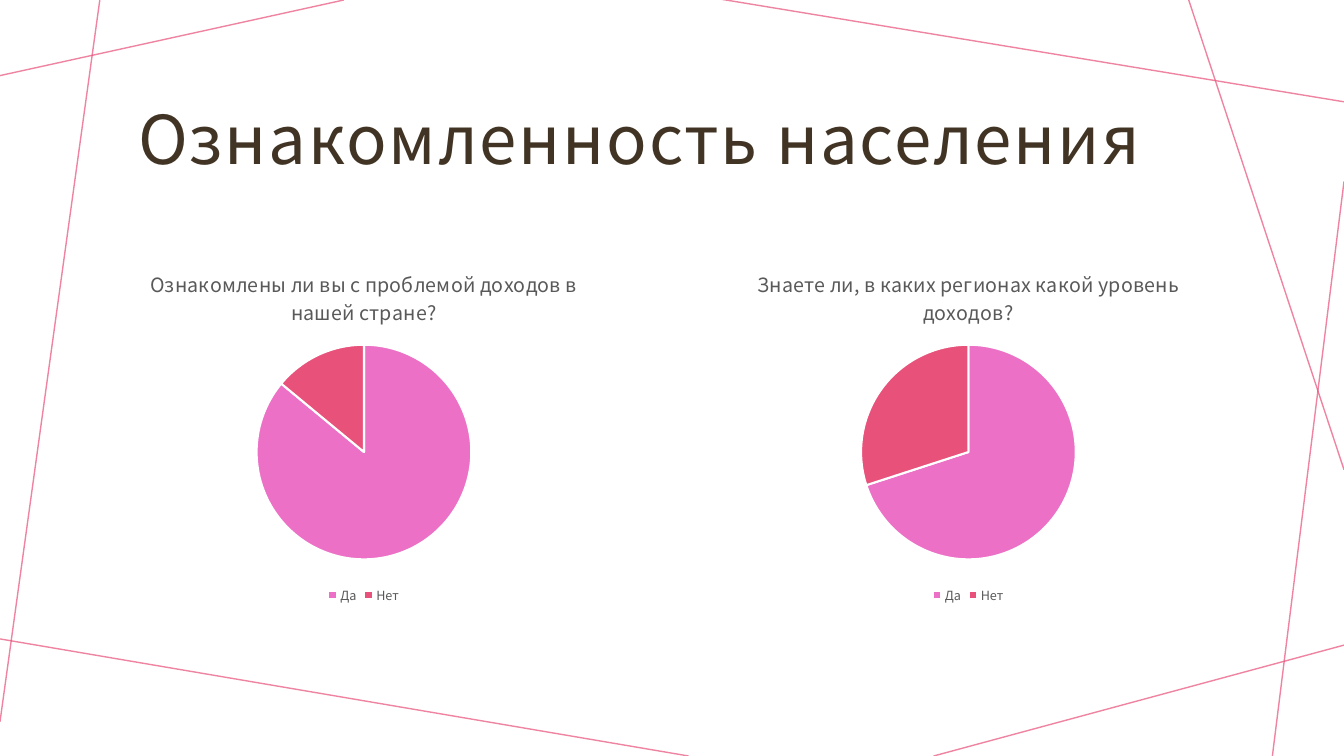
import pptx
import pptx.chart.data
import pptx.dml.color
import pptx.enum.chart
import pptx.enum.shapes
import pptx.enum.text
import pptx.oxml
import pptx.oxml.ns
import pptx.util
from dataclasses import dataclass
from lxml import etree

Inches = pptx.util.Inches
Pt = pptx.util.Pt
qn = pptx.oxml.ns.qn


@dataclass(frozen=True)
class Theme:
    font: str = "Noto Sans CJK SC"
    heading: str = "413424"
    muted: str = "595959"
    background: str = "FFFFFF"
    rose: str = "E8517A"
    pink: str = "EC70C6"
    heading_size: int = 48
    question_size: int = 14
    legend_size: int = 9


def color(value):
    return pptx.dml.color.RGBColor.from_string(value)


def format_font(font, name, size, fill):
    font.name, font.size, font.bold = name, Pt(size), False
    font.color.rgb = color(fill)


def write_text(frame, text, *, name, size, fill, align, line_spacing=None, tracking=None):
    """Write one formatted paragraph into a text frame."""
    paragraph = frame.paragraphs[0]
    paragraph.alignment = align
    if line_spacing:
        paragraph.line_spacing = line_spacing
    run = paragraph.add_run()
    run.text = text
    format_font(run.font, name, size, fill)
    if tracking is not None:
        run.font._element.set("spc", str(round(tracking * 100)))


class SlideBuilder:
    def __init__(self, slide, theme):
        self.slide = slide
        self.theme = theme
        slide.background.fill.solid()
        slide.background.fill.fore_color.rgb = color(theme.background)

    def accent_line(self, start, end):
        connector = self.slide.shapes.add_connector(
            pptx.enum.shapes.MSO_CONNECTOR.STRAIGHT,
            *(Inches(length) for length in start + end))
        connector.line.width = Pt(1)
        connector.line.color.rgb = color(self.theme.rose)
        # Soften the line and remove its theme shadow
        properties = connector._element.spPr
        tint = properties.find(".//" + qn("a:srgbClr"))
        etree.SubElement(tint, qn("a:alpha")).set("val", "70000")
        etree.SubElement(properties, qn("a:effectLst"))

    def title(self, text, left, top, width, height):
        shape = self.slide.shapes.title
        shape.left, shape.top = Inches(left), Inches(top)
        shape.width, shape.height = Inches(width), Inches(height)
        frame = shape.text_frame
        frame.word_wrap = True
        frame.auto_size = pptx.enum.text.MSO_AUTO_SIZE.NONE
        frame.vertical_anchor = pptx.enum.text.MSO_ANCHOR.MIDDLE
        frame.margin_left = frame.margin_right = frame.margin_top = Inches(0.12)
        frame.margin_bottom = Inches(0.1)
        write_text(frame, text, name=self.theme.font, size=self.theme.heading_size,
                   fill=self.theme.heading, align=pptx.enum.text.PP_ALIGN.LEFT,
                   line_spacing=1.05, tracking=1.3)

    def pie(self, question, answers, left, top, width, height):
        theme = self.theme
        data = pptx.chart.data.CategoryChartData()
        data.categories = list(answers)
        data.add_series("Series 1", list(answers.values()))
        chart = self.slide.shapes.add_chart(
            pptx.enum.chart.XL_CHART_TYPE.PIE, Inches(left), Inches(top),
            Inches(width), Inches(height), data).chart
        format_font(chart.font, theme.font, 10, "000000")

        # Question above the pie
        chart.has_title = True
        chart.chart_title.include_in_layout = False
        write_text(chart.chart_title.text_frame, question, name=theme.font,
                   size=theme.question_size, fill=theme.muted,
                   align=pptx.enum.text.PP_ALIGN.CENTER)

        # Legend below the pie
        chart.has_legend = True
        chart.legend.position = pptx.enum.chart.XL_LEGEND_POSITION.BOTTOM
        chart.legend.include_in_layout = False
        format_font(chart.legend.font, theme.font, theme.legend_size, theme.muted)

        # Slices
        plot = chart.plots[0]
        plot.vary_by_categories = True
        for index, fill in enumerate((theme.pink, theme.rose)):
            slice_format = plot.series[0].points[index].format
            slice_format.fill.solid()
            slice_format.fill.fore_color.rgb = color(fill)
            slice_format.line.color.rgb = color(theme.background)
            slice_format.line.width = Pt(1.5)
        self.place_pie(chart, width, height)

    def place_pie(self, chart, width, height, diameter=2.13, offset=0.93):
        """Centre a pie of fixed diameter across the chart."""
        plot_area = chart._chartSpace.chart.plotArea
        layout = plot_area.find(qn("c:layout"))
        if layout is None:
            layout = etree.Element(qn("c:layout"))
            plot_area.insert(0, layout)
        manual = etree.SubElement(layout, qn("c:manualLayout"))
        values = {"layoutTarget": "inner", "xMode": "edge", "yMode": "edge",
                  "x": (width - diameter) / 2 / width, "y": offset / height,
                  "w": diameter / width, "h": diameter / height}
        for tag, value in values.items():
            etree.SubElement(manual, qn("c:" + tag)).set("val", str(value))


def main():
    presentation = pptx.Presentation()
    presentation.slide_width, presentation.slide_height = Inches(13.33), Inches(7.5)
    slide = presentation.slides.add_slide(presentation.slide_layouts[5])
    builder = SlideBuilder(slide, Theme())

    # Decorative lines around the edges
    for start, end in (
        ((3.41, 0), (0, 0.75)),
        ((0.99, 0), (0, 7.16)),
        ((6.83, 7.5), (-0.05, 6.33)),
        ((13.33, 6.4), (9.26, 7.5)),
        ((13.33, 1.8), (12.62, 7.5)),
        ((13.33, 4.66), (11.79, 0)),
        ((13.33, 1.01), (7.14, -0.01)),
    ):
        builder.accent_line(start, end)

    # Heading
    builder.title("Ознакомленность населения", 1.25, 0.58, 10.83, 1.51)

    # Survey results
    for question, yes, left, width in (
        ("Ознакомлены ли вы с проблемой доходов в нашей стране?", 86, 0.56, 6.1),
        ("Знаете ли, в каких регионах какой уровень доходов?", 70, 6.67, 5.87),
    ):
        builder.pie(question, {"Да": yes, "Нет": 100 - yes}, left, 2.49, width, 3.54)

    presentation.save("out.pptx")


if __name__ == "__main__":
    main()
